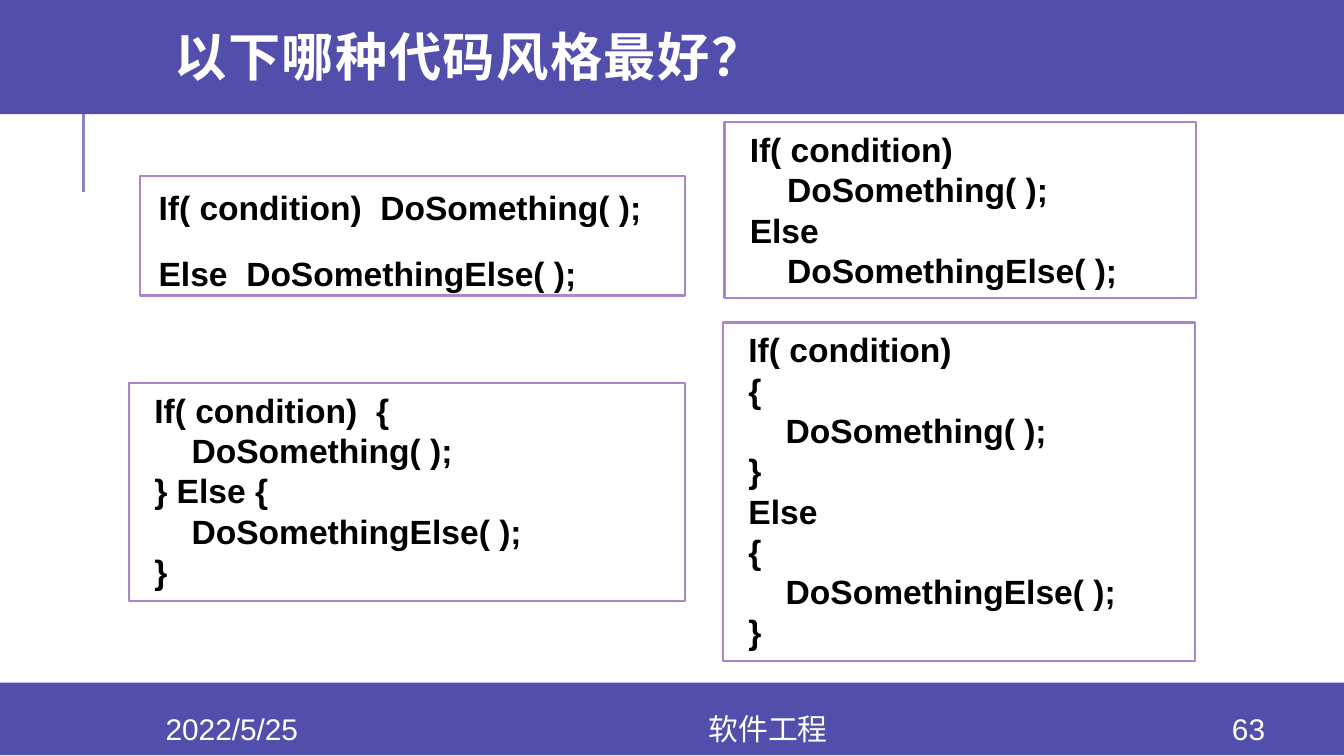
from lxml import etree
from pptx import Presentation
from pptx import util as u
from pptx.dml.color import RGBColor
from pptx.enum import shapes, text
from pptx.oxml import ns

PURPLE, WHITE, BLACK = "524EAB", "FFFFFF", "000000"
LILAC, RULE = "AD84C6", "8784C7"


def rgb(code):
    return RGBColor.from_string(code)


def write(box, words, size=16, color=WHITE, font="Arial", bold=False,
          align="LEFT", anchor="MIDDLE", inset=None, indent=0,
          lead=None, gap=0, track=0):
    frame = box.text_frame
    frame.word_wrap = True
    frame.vertical_anchor = text.MSO_ANCHOR[anchor]
    if inset is not None:
        frame.margin_left = frame.margin_right = u.Inches(inset)
        frame.margin_top = frame.margin_bottom = u.Inches(inset)
    for i, line in enumerate(words.split("\n")):
        para = frame.add_paragraph() if i else frame.paragraphs[0]
        para.alignment = text.PP_ALIGN[align]
        if lead:
            para.line_spacing = lead
        if gap and i:
            para.space_before = u.Pt(gap)
        props = para._p.get_or_add_pPr()
        props.set("marL", str(u.Inches(indent)))
        props.set("indent", "0")
        run = para.add_run()
        run.text = line
        run.font.size, run.font.bold = u.Pt(size), bold
        run.font.name = font
        run.font.color.rgb = rgb(color)
        if track:
            run._r.get_or_add_rPr().set("spc", str(track))


# Widescreen slide, 16:9
deck = Presentation()
deck.slide_width = u.Inches(10)
deck.slide_height = u.Inches(10 * 9 / 16)
slide = deck.slides.add_slide(deck.slide_layouts[6])
items = slide.shapes

# Short rule under the title band
rule = items.add_connector(shapes.MSO_CONNECTOR.STRAIGHT, u.Inches(0.62),
                           u.Inches(1.43), u.Inches(0.62), u.Inches(0.68))
rule.line.color.rgb = rgb(RULE)
rule.line.width = u.Pt(1.5)
etree.SubElement(rule._element.spPr, ns.qn("a:effectLst"))

# Footer and title bands
for top, high in ((5.08, 0.54), (-0.03, 0.88)):
    band = items.add_shape(shapes.MSO_SHAPE.RECTANGLE, u.Inches(0),
                           u.Inches(top), u.Inches(10), u.Inches(high))
    band.shadow.inherit = False
    band.fill.solid()
    band.fill.fore_color.rgb = rgb(PURPLE)
    band.line.fill.background()

# Title
title = items.add_textbox(u.Inches(1.2), u.Inches(0),
                          u.Inches(8.49), u.Inches(0.91))
write(title, "以下哪种代码风格最好？", size=28, font="Montserrat", bold=True,
      lead=0.8, track=80)

# Footer: date, course, page number
for left, wide, words in ((0.84, 1.77, "2022/5/25"), (2.61, 6.21, "软件工程"),
                          (8.89, 0.8, "63")):
    foot = items.add_textbox(u.Inches(left), u.Inches(5.31),
                             u.Inches(wide), u.Inches(0.23))
    write(foot, words, align="CENTER")

# Code samples: place, code, extra format
loose = dict(align="JUSTIFY", inset=0.05, lead=1.1, gap=12)
codes = (
    ((1.04, 1.31, 4.06, 0.89), """If( condition)  DoSomething( );
Else  DoSomethingElse( );""", loose),
    ((0.96, 2.85, 4.14, 1.62), """If( condition)  {
    DoSomething( );
} Else {
    DoSomethingElse( );
}""", {}),
    ((5.38, 2.4, 3.51, 2.52), """If( condition)
{
    DoSomething( );
}
Else
{
    DoSomethingElse( );
}""", {}),
    ((5.39, 0.91, 3.51, 1.31), """If( condition)
    DoSomething( );
Else
    DoSomethingElse( );""", {}),
)
for place, code, extra in codes:
    card = items.add_shape(shapes.MSO_SHAPE.RECTANGLE,
                           *[u.Inches(n) for n in place])
    card.shadow.inherit = False
    card.fill.solid()
    card.fill.fore_color.rgb = rgb(WHITE)
    card.line.color.rgb = rgb(LILAC)
    card.line.width = u.Pt(1.25)
    write(card, code, size=18, color=BLACK, bold=True, anchor="TOP",
          indent=0.09, **extra)

deck.save("out.pptx")
